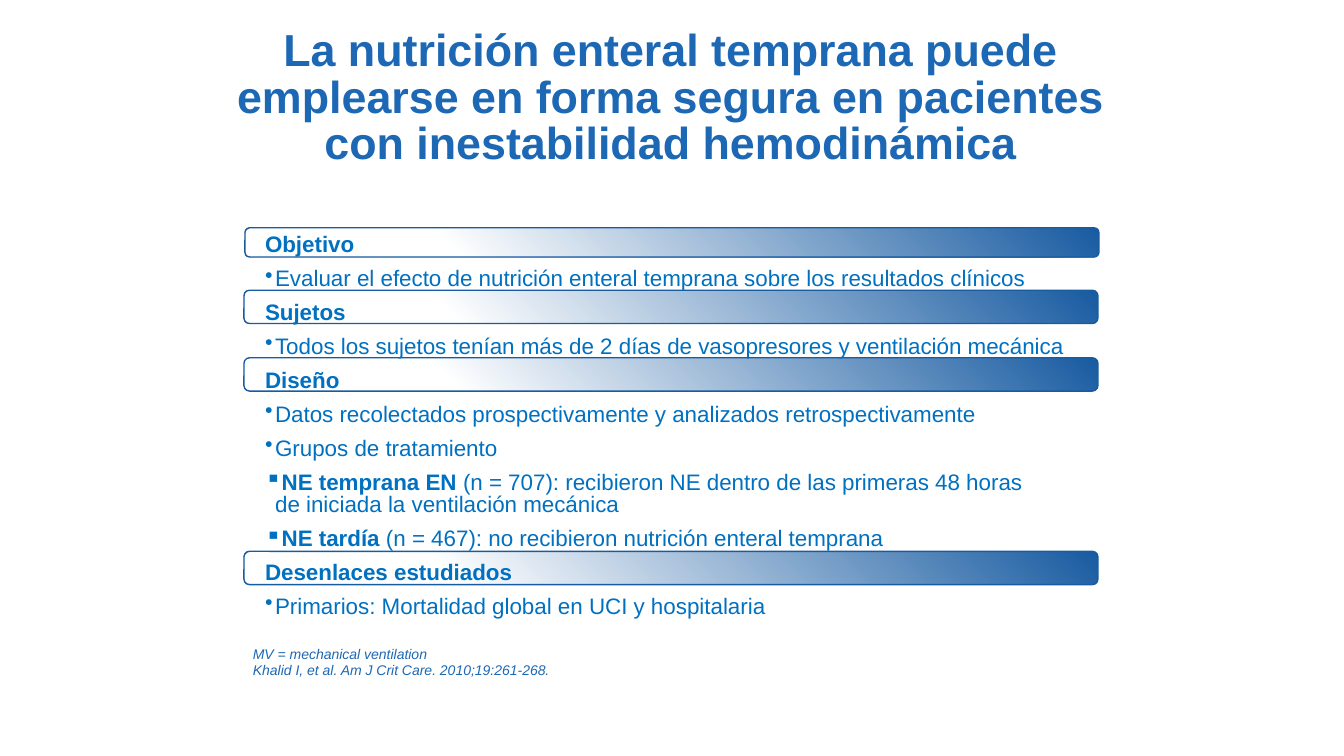
import pptx
import pptx.dml.color
import pptx.enum.shapes
import pptx.enum.text
import pptx.oxml.ns
import pptx.util
from lxml import etree
from pptx.util import Inches

FONT = "Arial"
TITLE_BLUE = "1D68B4"
BODY_BLUE = "0070C0"
BAR_BLUE = "185BA1"
WHITE = "FFFFFF"
GREY = "595959"

TITLE = ("La nutrición enteral temprana puede\n"
         "emplearse en forma segura en pacientes\n"
         "con inestabilidad hemodinámica")

# Left, top and height of each heading bar
BARS = [(2.42, 3.55, 0.33), (2.42, 2.88, 0.33),
        (2.43, 2.26, 0.29), (2.42, 5.47, 0.33)]
BAR_WIDTH = 8.47

# Bullet, bold part and plain part of each paragraph
BODY = [
    ("", "Objetivo", ""),
    ("•", "", "Evaluar el efecto de nutrición enteral temprana sobre los resultados clínicos"),
    ("", "Sujetos", ""),
    ("•", "", "Todos los sujetos tenían más de 2 días de vasopresores y ventilación mecánica"),
    ("", "Diseño", ""),
    ("•", "", "Datos recolectados prospectivamente y analizados retrospectivamente"),
    ("•", "", "Grupos de tratamiento"),
    ("▪", "NE temprana EN ", "(n = 707): recibieron NE dentro de las primeras 48 horas\n"
                             "de iniciada la ventilación mecánica"),
    ("▪", "NE tardía ", "(n = 467): no recibieron nutrición enteral temprana"),
    ("", "Desenlaces estudiados", ""),
    ("•", "", "Primarios: Mortalidad global en UCI y hospitalaria"),
]


def color(value):
    return pptx.dml.color.RGBColor.from_string(value)


def add_text_box(slide, left, top, width, height):
    box = slide.shapes.add_textbox(Inches(left), Inches(top), Inches(width), Inches(height))
    box.text_frame.word_wrap = True
    return box.text_frame


def next_paragraph(frame, is_first):
    return frame.paragraphs[0] if is_first else frame.add_paragraph()


def style_font(font, size, value):
    font.name = FONT
    font.size = pptx.util.Pt(size)
    font.color.rgb = color(value)


def add_span(para, text, bold=None):
    for number, line in enumerate(text.split("\n")):
        if number:
            para.add_line_break()
        span = para.add_run()
        span.text = line
        span.font.bold = bold


def set_bullet(para, bullet):
    """Hang the paragraph by 0.1 inch and give it its bullet, if any."""
    properties = para._p.get_or_add_pPr()
    properties.set("marL", str(Inches(0.1)))
    properties.set("indent", str(Inches(-0.1)))
    tag = "a:buChar" if bullet else "a:buNone"
    element = etree.Element(pptx.oxml.ns.qn(tag))
    if bullet:
        element.set("char", bullet)
    # Bullets stand before the default run properties
    properties.insert_element_before(element, "a:tabLst", "a:defRPr", "a:extLst")


def add_title(slide):
    frame = add_text_box(slide, 1.74, 0.19, 9.83, 1.58)
    frame.vertical_anchor = pptx.enum.text.MSO_ANCHOR.MIDDLE
    para = frame.paragraphs[0]
    para.alignment = pptx.enum.text.PP_ALIGN.CENTER
    para.line_spacing = pptx.util.Pt(33.4)
    style_font(para.font, 32, TITLE_BLUE)
    para.font.bold = True
    add_span(para, TITLE)


def add_footnote(slide):
    frame = add_text_box(slide, 2.41, 6.35, 7.59, 0.44)
    frame.auto_size = pptx.enum.text.MSO_AUTO_SIZE.SHAPE_TO_FIT_TEXT
    lines = ["MV = mechanical ventilation",
             "Khalid I, et al. Am J Crit Care. 2010;19:261-268"]
    for number, line in enumerate(lines):
        para = next_paragraph(frame, number == 0)
        style_font(para.font, 10, TITLE_BLUE)
        para.font.italic = True
        add_span(para, line)
    add_span(para, ".")
    para.runs[-1].font.color.rgb = color(GREY)


def add_bar(slide, left, top, height):
    bar = slide.shapes.add_shape(
        pptx.enum.shapes.MSO_SHAPE.ROUNDED_RECTANGLE,
        Inches(left), Inches(top), Inches(BAR_WIDTH), Inches(height))
    bar.shadow.inherit = False
    bar.fill.gradient()
    bar.fill.gradient_angle = 225  # counter-clockwise: blue at the top right
    stops = bar.fill.gradient_stops
    for stop, position, value in zip(stops, (0, 0.76), (BAR_BLUE, WHITE)):
        stop.position = position
        stop.color.rgb = color(value)
    bar.line.color.rgb = color(BAR_BLUE)
    bar.line.width = pptx.util.Pt(1)


def add_body(slide):
    frame = add_text_box(slide, 2.53, 2.28, 8.71, 4.2)
    for number, (bullet, strong, plain) in enumerate(BODY):
        para = next_paragraph(frame, number == 0)
        para.level = 1 if bullet == "▪" else 0
        para.line_spacing = pptx.util.Pt(16.2)
        para.space_before = para.space_after = pptx.util.Pt(4)
        style_font(para.font, 16, BODY_BLUE)
        set_bullet(para, bullet)
        if strong:
            add_span(para, strong, True)
        if plain:
            add_span(para, plain, False)


def main():
    deck = pptx.Presentation()
    deck.slide_width = Inches(13.33)
    deck.slide_height = Inches(7.5)
    page = deck.slides.add_slide(deck.slide_layouts[6])

    # Title and source note
    add_title(page)
    add_footnote(page)

    # Heading bars, with the text over them
    for left, top, height in BARS:
        add_bar(page, left, top, height)
    add_body(page)

    deck.save("out.pptx")


if __name__ == "__main__":
    main()
